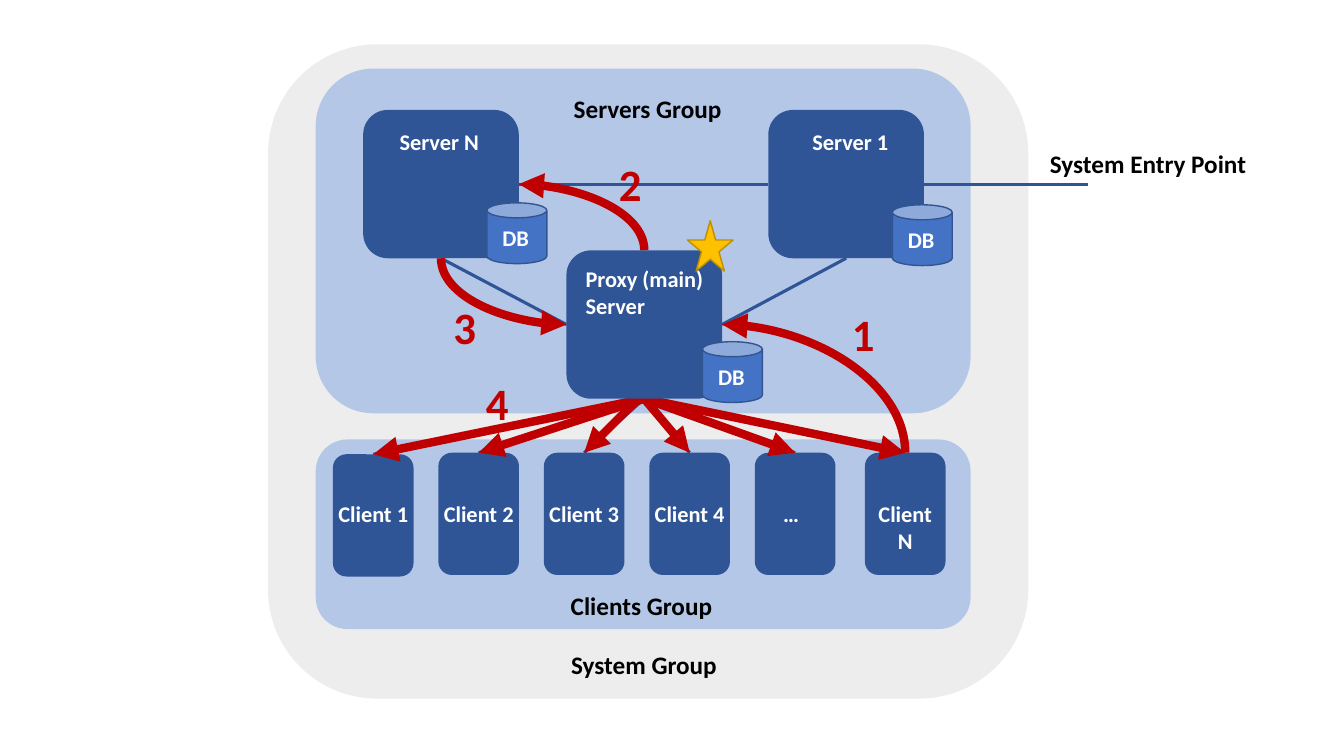
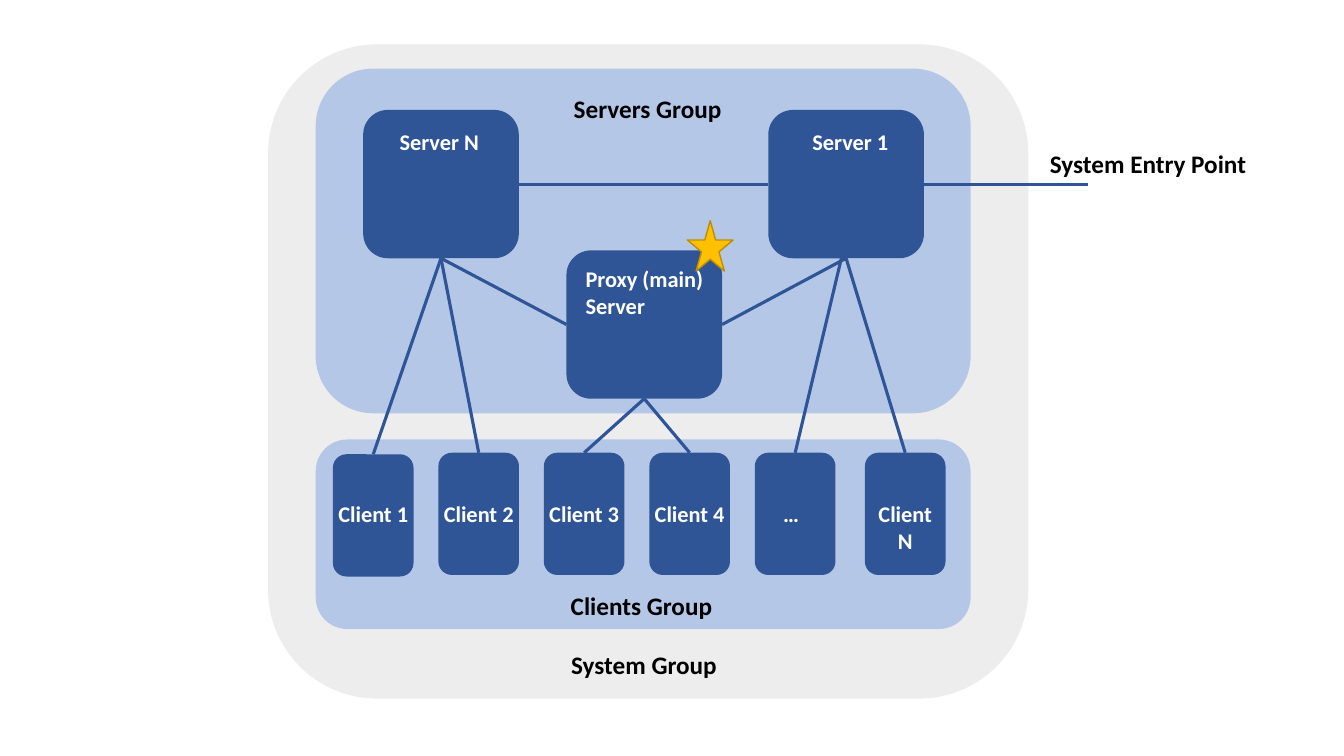
"""Two diagrams of a server and client system."""
from lxml import etree
from pptx import Presentation
from pptx import util as u
from pptx.dml.color import RGBColor
from pptx.enum import shapes, text
from pptx.oxml.ns import qn

HUES = {
    "grey": "EDEDED", "pale": "B4C7E7", "navy": "2F5597", "blue": "4472C4",
    "edge": "325491", "red": "C00000", "gold": "FFC000", "rim": "BD8E00",
    "black": "000000", "white": "FFFFFF",
}
KIND = shapes.MSO_SHAPE
LINK = shapes.MSO_CONNECTOR

# Servers: left and top of each box
BOX_W, BOX_H = 111.2, 106
SIDE_N, SIDE_1, HUB = (259.4, 78.5), (548.8, 78.5), (404.6, 178.8)
# Clients: an even row, with the last one set apart
NAMES = ["Client 1", "Client 2", "Client 3", "Client 4", "…", "Client N"]
CARD_W, CARD_H = 57.6, 87.3
CARDS = [(237.8 + 75.35 * i, 323.4) for i in range(5)] + [(617.8, 323.4)]
CARDS[0] = (237.8, 324.5)
TIPS = [(x + CARD_W / 2, y) for x, y in CARDS]


def pin(box, side):
    """Give the middle point of one side of a server box."""
    x, y = box
    across, down = {"top": (0.5, 0), "left": (0, 0.5),
                    "base": (0.5, 1), "right": (1, 0.5)}[side]
    return x + BOX_W * across, y + BOX_H * down


class Deck:
    """Hold the style and the current slide."""

    font = "Calibri"

    def __init__(self):
        """Start a wide deck."""
        self.deck = Presentation()
        self.deck.slide_width, self.deck.slide_height = u.Pt(960), u.Pt(540)
        self.page = None

    def color(self, name):
        """Turn a colour name into a colour."""
        return RGBColor.from_string(HUES[name])

    def slide(self):
        """Add a blank slide and make it current."""
        self.page = self.deck.slides.add_slide(self.deck.slide_layouts[6])

    def shape(self, kind, x, y, w, h, fill, edge=None):
        """Draw a filled preset shape."""
        item = self.page.shapes.add_shape(kind, u.Pt(x), u.Pt(y), u.Pt(w), u.Pt(h))
        item.shadow.inherit = False
        item.fill.solid()
        item.fill.fore_color.rgb = self.color(fill)
        if edge:
            item.line.color.rgb = self.color(edge)
            item.line.width = u.Pt(1)
        else:
            item.line.fill.background()

    def round(self, x, y, w, h, fill="navy"):
        """Draw a rounded box."""
        self.shape(KIND.ROUNDED_RECTANGLE, x, y, w, h, fill)

    def text(self, words, x, y, w, size=16, color="white", align="CENTER"):
        """Write bold text, one paragraph a line, centred on x."""
        lines = words.split("\n")
        high = 1.22 * size * len(lines) + 7.2
        item = self.page.shapes.add_textbox(u.Pt(x - w / 2), u.Pt(y), u.Pt(w), u.Pt(high))
        frame = item.text_frame
        frame.word_wrap = False
        frame.auto_size = text.MSO_AUTO_SIZE.SHAPE_TO_FIT_TEXT
        frame.text = words
        for para in frame.paragraphs:
            para.alignment = text.PP_ALIGN[align]
            font = para.runs[0].font
            font.name, font.size, font.bold = self.font, u.Pt(size), True
            font.color.rgb = self.color(color)

    def line(self, start, end, color="navy", width=2.25, kind=LINK.STRAIGHT):
        """Draw a plain connector."""
        item = self.page.shapes.add_connector(kind, *map(u.Pt, start + end))
        item.line.color.rgb = self.color(color)
        item.line.width = u.Pt(width)
        etree.SubElement(item._element.spPr, qn("a:effectLst"))
        return item

    def arrow(self, start, end, kind=LINK.STRAIGHT):
        """Draw a thick red arrow."""
        item = self.line(start, end, "red", 6, kind)
        etree.SubElement(item.line._get_or_add_ln(), qn("a:tailEnd"), type="triangle")
        return item

    def bend(self, start, end):
        """Draw a curved arrow that leaves upright and arrives level."""
        mid_x, mid_y = ((a + b) / 2 for a, b in zip(start, end))
        turned = [(mid_x + mid_y - y, mid_y + x - mid_x) for x, y in (start, end)]
        props = self.arrow(*turned, kind=LINK.CURVE)._element.spPr
        props.find(qn("a:xfrm")).set("rot", str(270 * 60000))
        props.find(qn("a:prstGeom")).set("prst", "curvedConnector2")

    def store(self, x, y):
        """Draw a database can with its label."""
        self.shape(KIND.CAN, x, y, 42.8, 43.4, "blue", "edge")
        self.text("DB", x + 20.6, y + 11.9, 34)

    def frame(self, ends):
        """Draw the groups, servers and clients, each client linked to an end."""
        self.round(191.5, 31.7, 543, 467.3, "grey")
        self.round(225.5, 49, 467.8, 246.2, "pale")
        self.round(225.5, 313.9, 467.8, 135.4, "pale")
        for box in (SIDE_N, SIDE_1):
            self.round(*box, BOX_W, BOX_H)
        for tip, end in zip(TIPS, ends):
            self.line(tip, end)
        for card in CARDS:
            self.round(*card, CARD_W, CARD_H)
        self.line(pin(SIDE_N, "right"), pin(SIDE_1, "left"))
        self.line(pin(HUB, "right"), pin(SIDE_1, "base"))
        self.line(pin(SIDE_N, "base"), pin(HUB, "left"))
        self.line((777, 131.5), pin(SIDE_1, "right"))
        for words, x, y, w in (("System Group", 460, 460.2, 120),
                               ("Clients Group", 458.2, 418.2, 116),
                               ("Servers Group", 462.6, 63.4, 121),
                               ("System Entry Point", 820, 102.5, 156)):
            self.text(words, x, y, w, size=18, color="black")
        for name, (x, _) in zip(NAMES, TIPS):
            self.text(name, x - 3 if name == "…" else x, 354, 65)
        self.text("Server 1", 607.4, 87.9, 70)
        self.text("Server N", 313.8, 87.9, 72)

    def proxy(self):
        """Draw the main server with its star."""
        self.round(*HUB, BOX_W, BOX_H)
        self.text("Proxy (main)\nServer", 461.2, 185.8, 100, align="LEFT")
        self.shape(KIND.STAR_5_POINT, 491, 157.7, 32.7, 36, "gold", "rim")


def flow(deck):
    """Build the slide with the numbered message flow."""
    hub = pin(HUB, "base")
    deck.slide()
    deck.frame([hub] * len(TIPS))
    deck.store(637.4, 146.3)
    deck.store(347.8, 144.9)
    deck.bend(TIPS[-1], pin(HUB, "right"))
    deck.bend(pin(HUB, "top"), pin(SIDE_N, "right"))
    deck.bend(pin(SIDE_N, "base"), pin(HUB, "left"))
    for i, tip in enumerate(TIPS):
        deck.arrow((455, 285.8) if i == 2 else hub, tip)
    deck.proxy()
    for step, x, y in (("1", 616.6, 215.3), ("2", 450.2, 108.7),
                       ("3", 332, 210.3), ("4", 355.2, 265)):
        deck.text(step, x, y, 31, size=32, color="red")
    deck.store(501.8, 244.1)


def links(deck):
    """Build the slide with the links between clients and servers."""
    left, hub, right = (pin(box, "base") for box in (SIDE_N, HUB, SIDE_1))
    deck.slide()
    deck.frame([left, left, hub, hub, (601.2, 183.6), right])
    deck.proxy()


show = Deck()
flow(show)
links(show)
show.deck.save("out.pptx")
